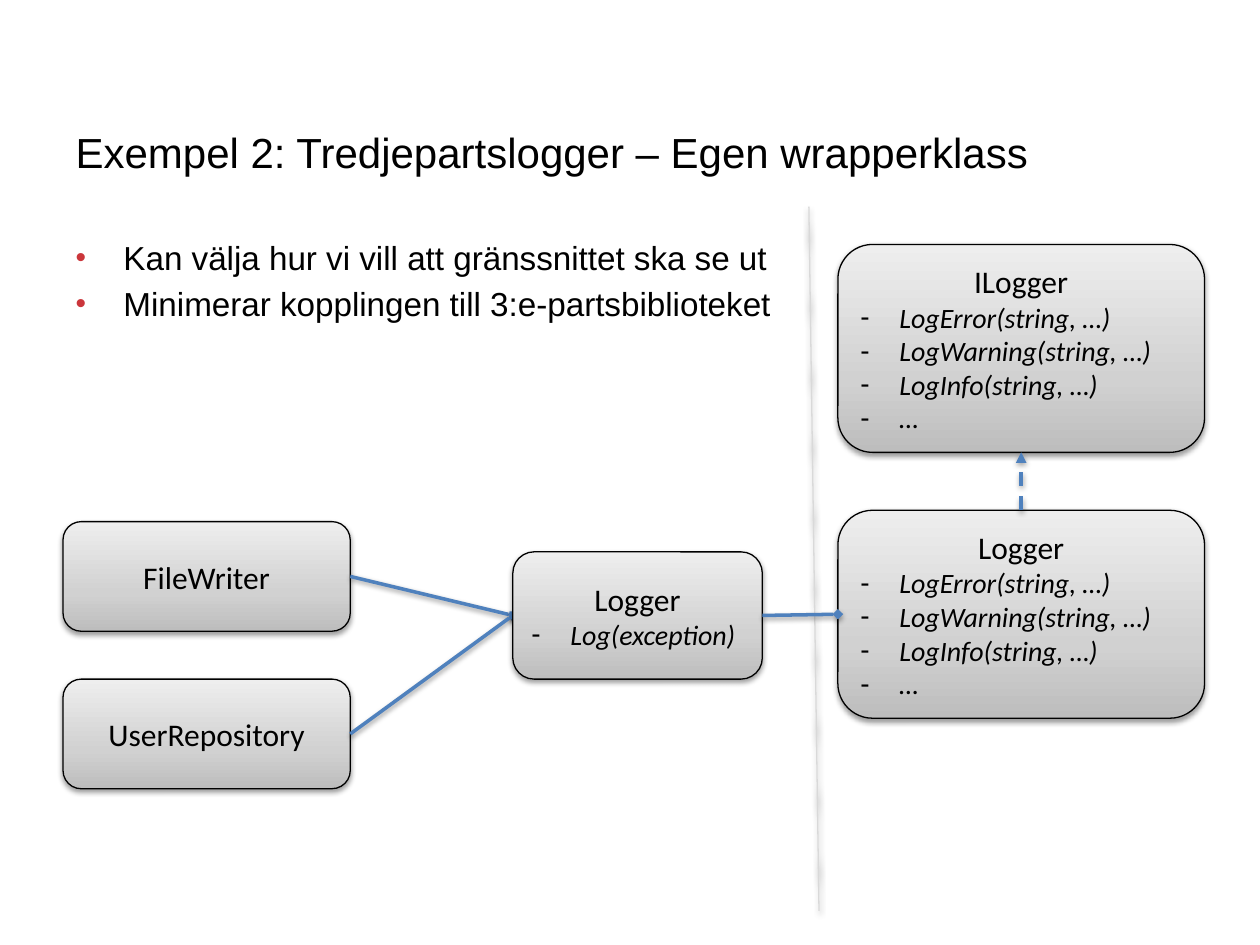
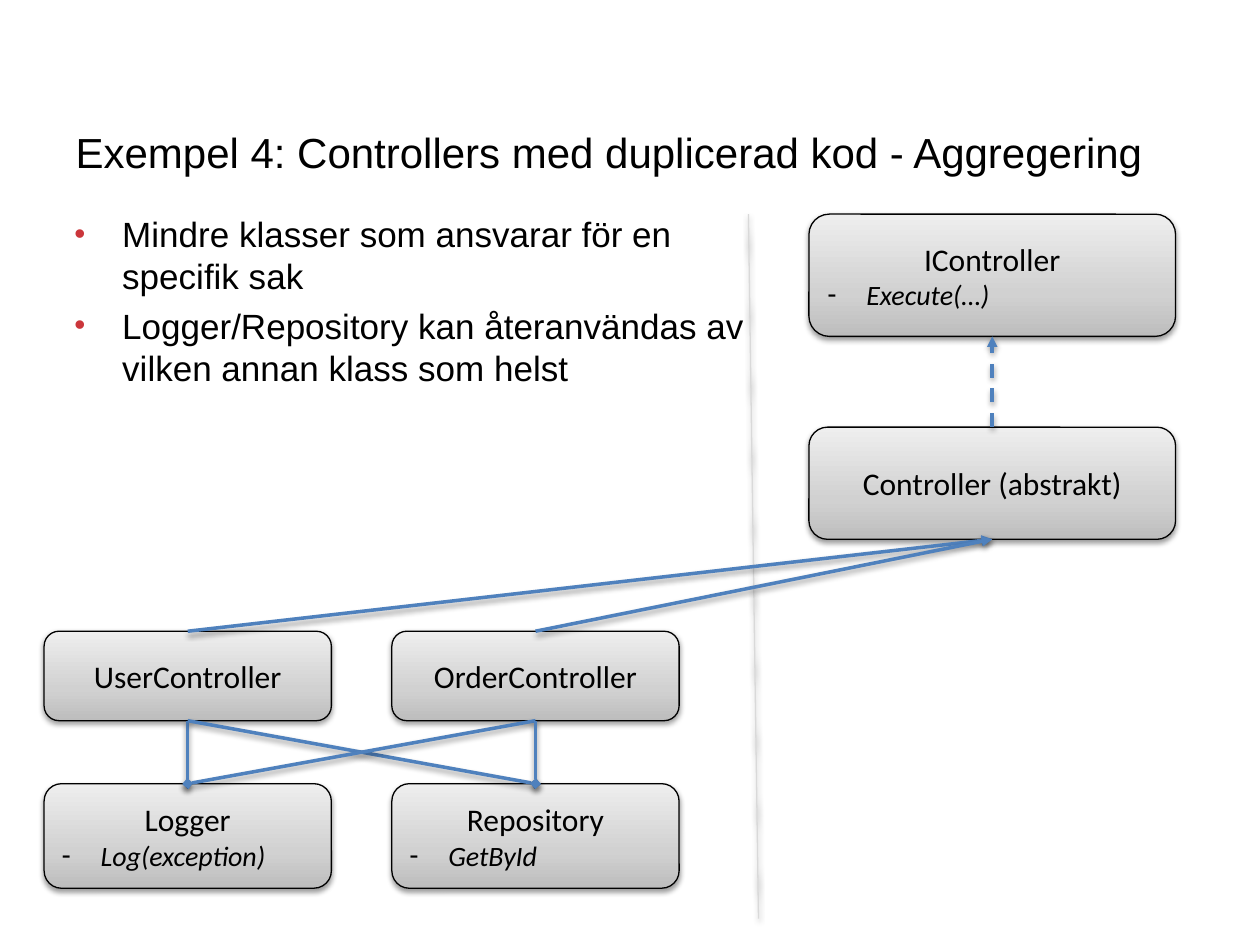
from dataclasses import dataclass
from typing import Any

from lxml import etree
from pptx import Presentation
from pptx.dml import color as c
from pptx.enum import dml, shapes, text
from pptx.oxml import ns
from pptx import util as u

BLACK = c.RGBColor(0x00, 0x00, 0x00)
BLUE = c.RGBColor(0x4F, 0x81, 0xBD)
PALE = c.RGBColor(0xD9, 0xD9, 0xD9)
RED = c.RGBColor(0xCB, 0x36, 0x3B)
LOW = c.RGBColor(0xBD, 0xBD, 0xBD)
MID = c.RGBColor(0xD1, 0xD1, 0xD1)
HIGH = c.RGBColor(0xEE, 0xEE, 0xEE)
STOPS = ((0, LOW), (35, MID), (100, HIGH))

WIDE, TALL = u.Inches(10), u.Inches(7.5)
COLS, ROWS = 100, 75
TOP, LEFT, BASE, RIGHT = range(4)

HEAD = dict(name="Arial", size=u.Pt(24), bold=False)
NAME = dict(name="Calibri", size=u.Pt(18))
CALL = dict(name="Calibri", size=u.Pt(16), italic=True)
LOGS = ("LogError(string, …)", "LogWarning(string, …)",
        "LogInfo(string, …)", "…")


@dataclass
class Area:
    col: float
    row: float
    wide: float
    tall: float


@dataclass
class Box:
    name: str
    area: Area
    calls: tuple[str, ...] = ()


@dataclass
class Link:
    start: int
    out: int
    end: int
    into: int
    tip: str
    dash: bool = False
    under: bool = False


@dataclass
class Page:
    title: str
    points: tuple[str, ...]
    size: float
    body: Area
    rule: Area
    boxes: list[Box]
    links: list[Link]


def across(col: float) -> int:
    return round(WIDE * col / COLS)


def down(row: float) -> int:
    return round(TALL * row / ROWS)


def frame(area: Area) -> tuple[int, int, int, int]:
    return across(area.col), down(area.row), across(area.wide), down(area.tall)


def style(item: Any, form: dict[str, Any]) -> None:
    for key, val in form.items():
        setattr(item, key, val)


def add(root: Any, tag: str, **attrs: Any) -> Any:
    return etree.SubElement(root, ns.qn(tag), {k: str(v) for k, v in attrs.items()})


def tint(root: Any, shade: c.RGBColor) -> Any:
    return add(root, "a:srgbClr", val=shade)


def shade(shape: Any) -> None:
    glow = add(shape.element.spPr, "a:effectLst")
    drop = add(glow, "a:outerShdw", blurRad=40000, dist=20000,
               dir=5400000, rotWithShape=0)
    add(tint(drop, BLACK), "a:alpha", val=38000)


def stroke(shape: Any, hue: c.RGBColor, size: float) -> None:
    shape.line.color.rgb = hue
    shape.line.width = u.Pt(size)


def write(para: Any, words: str, form: dict[str, Any]) -> None:
    run = para.add_run()
    run.text = words
    style(run.font, form)
    run.font.color.rgb = BLACK


def bullet(para: Any, mark: str, gap: float, hue: c.RGBColor, size: int) -> None:
    prop = para._p.get_or_add_pPr()
    step = u.Inches(gap)
    prop.set("marL", str(step))
    prop.set("indent", str(-step))
    tint(add(prop, "a:buClr"), hue)
    add(prop, "a:buSzPct", val=size * 1000)
    add(prop, "a:buFont", typeface="Arial")
    add(prop, "a:buChar", char=mark)


def place(hold: Any, area: Area, side: Any) -> Any:
    keys = ("left", "top", "width", "height")
    style(hold, dict(zip(keys, frame(area))))
    style(hold.text_frame, dict(word_wrap=True, vertical_anchor=side,
                                auto_size=text.MSO_AUTO_SIZE.NONE))
    return hold.text_frame


def draw_box(slide: Any, box: Box) -> Any:
    shape = slide.shapes.add_shape(
        shapes.MSO_SHAPE.ROUNDED_RECTANGLE, *frame(box.area))
    shape.fill.gradient()
    shape.fill.gradient_angle = 90
    ramp = shape.element.spPr.find(".//" + ns.qn("a:gsLst"))
    for old in list(ramp):
        ramp.remove(old)
    for pos, hue in STOPS:
        tint(add(ramp, "a:gs", pos=pos * 1000), hue)
    stroke(shape, BLACK, 0.75)
    shade(shape)
    body = shape.text_frame
    body.word_wrap = True
    para = body.paragraphs[0]
    para.alignment = text.PP_ALIGN.CENTER
    write(para, box.name, NAME)
    for call in box.calls:
        para = body.add_paragraph()
        para.alignment = text.PP_ALIGN.LEFT
        bullet(para, "-", 0.31, BLACK, 100)
        write(para, call, CALL)
    return shape


def draw_rule(slide: Any, area: Area) -> None:
    left, top, wide, tall = frame(area)
    line = slide.shapes.add_connector(
        shapes.MSO_CONNECTOR.STRAIGHT, left, top, left + wide, top + tall)
    stroke(line, PALE, 0.75)
    shade(line)


def draw_link(slide: Any, link: Link, drawn: list[Any]) -> None:
    line = slide.shapes.add_connector(shapes.MSO_CONNECTOR.STRAIGHT, 0, 0, 0, 0)
    line.begin_connect(drawn[link.start], link.out)
    line.end_connect(drawn[link.end], link.into)
    stroke(line, BLUE, 2)
    if link.dash:
        line.line.dash_style = dml.MSO_LINE.DASH
    add(line.element.spPr.find(ns.qn("a:ln")), "a:tailEnd", type=link.tip)
    shade(line)
    if link.under:
        drawn[link.end].element.addprevious(line.element)


def draw_page(deck: Any, page: Page) -> None:
    slide = deck.slides.add_slide(deck.slide_layouts[1])
    head = place(slide.shapes.title, Area(5, 5.8, 90, 12.5), text.MSO_ANCHOR.MIDDLE)
    head.paragraphs[0].alignment = text.PP_ALIGN.LEFT
    write(head.paragraphs[0], page.title, HEAD)
    body = place(slide.placeholders[1], page.body, text.MSO_ANCHOR.TOP)
    for num, point in enumerate(page.points):
        para = body.add_paragraph() if num else body.paragraphs[0]
        bullet(para, "•", 0.38, RED, 90)
        write(para, point, dict(name="Arial", size=u.Pt(page.size)))
    draw_rule(slide, page.rule)
    drawn = [draw_box(slide, box) for box in page.boxes]
    for link in page.links:
        draw_link(slide, link, drawn)


PAIR = (3.5, 31.1)
PAGES = [
    Page(
        "Exempel 2: Tredjepartslogger – Egen wrapperklass",
        ("Kan välja hur vi vill att gränssnittet ska se ut",
         "Minimerar kopplingen till 3:e-partsbiblioteket"),
        19, Area(5, 18.3, 57.7, 27.8), Area(64.2, 16.4, 0.8, 55.9),
        [Box("ILogger", Area(66.5, 19.4, 29.1, 16.5), LOGS),
         Box("Logger", Area(66.5, 40.5, 29.1, 16.5), LOGS),
         Box("FileWriter", Area(5, 41.4, 22.8, 8.7)),
         Box("UserRepository", Area(5, 53.9, 22.8, 8.7)),
         Box("Logger", Area(40.7, 43.8, 19.8, 10.1), ("Log(exception)",))],
        [Link(1, TOP, 0, BASE, "triangle", dash=True),
         Link(2, RIGHT, 4, LEFT, "diamond", under=True),
         Link(3, RIGHT, 4, LEFT, "diamond", under=True),
         Link(4, RIGHT, 1, LEFT, "diamond")],
    ),
    Page(
        "Exempel 4: Controllers med duplicerad kod - Aggregering",
        ("Mindre klasser som ansvarar för en specifik sak",
         "Logger/Repository kan återanvändas av vilken annan klass som helst"),
        20, Area(4.9, 16.4, 57.7, 26.4), Area(59.4, 17, 0.8, 55.9),
        [Box("IController", Area(64.2, 17, 29.1, 9.7), ("Execute(…)",)),
         Box("Controller (abstrakt)", Area(64.2, 33.9, 29.1, 8.9)),
         *(Box(name, Area(col, 50.1, 22.8, 7.1)) for name, col in
           zip(("UserController", "OrderController"), PAIR)),
         *(Box(name, Area(col, 62.2, 22.8, 8.3), (call,)) for name, call, col in
           zip(("Logger", "Repository"), ("Log(exception)", "GetById"), PAIR))],
        [Link(1, TOP, 0, BASE, "triangle", dash=True),
         *(Link(top, TOP, 1, BASE, "triangle") for top in (2, 3)),
         *(Link(top, BASE, low, TOP, "diamond")
           for top in (2, 3) for low in (4, 5))],
    ),
]

deck = Presentation()
style(deck, dict(slide_width=WIDE, slide_height=TALL))
for page in PAGES:
    draw_page(deck, page)
deck.save("out.pptx")
